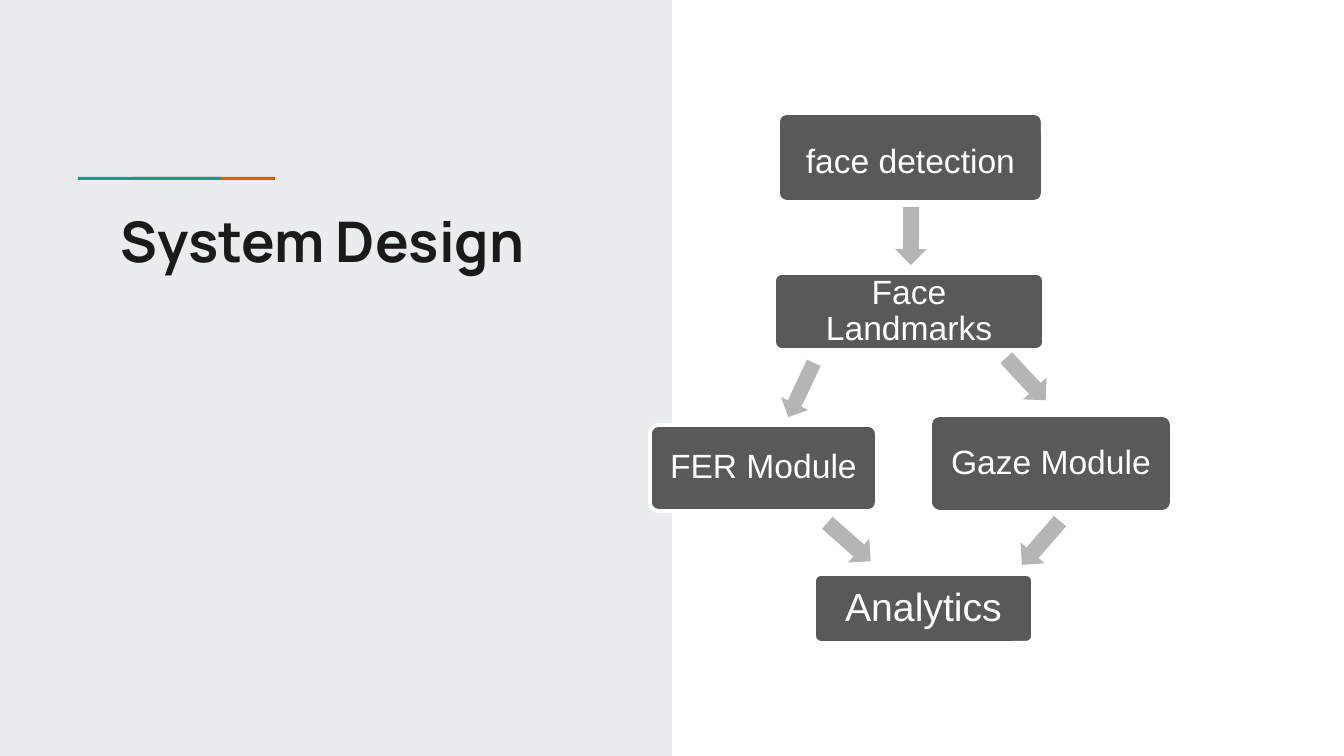
"""Build the System Design slide with its flow of modules."""
from pptx import Presentation
from pptx.dml.color import RGBColor
from pptx.enum import shapes, text
from pptx.util import Pt

SCALE = 914400 / 134.4
WIDE, HIGH = 1344, 756
WHITE = RGBColor(0xFF, 0xFF, 0xFF)
PANEL = RGBColor(0xE9, 0xED, 0xEE)
ORANGE = RGBColor(0xEB, 0x56, 0x00)
TEAL = RGBColor(0x1A, 0x99, 0x88)
INK = RGBColor(0x1A, 0x1A, 0x1A)
DARK = RGBColor(0x59, 0x59, 0x59)
GREY = RGBColor(0xB5, 0xB5, 0xB5)
KIND = shapes.MSO_SHAPE

TITLE = "System Design"
BARS = [
    ((0, 0, WIDE // 2, HIGH), PANEL),
    ((133, 177, 142, 3), ORANGE),
    ((78, 177, 143, 3), TEAL),
]
STEPS = [
    ("face detection", (778, 113, 265, 89), 18, 10),
    ("Face Landmarks", (774, 273, 270, 77), 18, 0),
    ("Gaze Module", (930, 415, 242, 97), 18, 0),
    ("Analytics", (814, 574, 219, 69), 21, 0),
    ("FER Module", (650, 425, 227, 86), 18, 0),
]
ARROWS = [
    ((882, 220, 58, 32), 90.3),
    ((997, 363, 58, 32), 47.2),
    ((1012, 527, 58, 32), 131.1),
    ((820, 526, 58, 32), 41.5),
    ((771, 375, 60, 30), 115.2),
]


def px(*vals):
    return [round(v * SCALE) for v in vals]


def draw(slide, kind, box, fill):
    shape = slide.shapes.add_shape(kind, *px(*box))
    shape.shadow.inherit = False
    shape.fill.solid()
    shape.fill.fore_color.rgb = fill
    shape.line.fill.background()
    return shape


def write(shape, words, *, size, font="Arial", color=WHITE, bold=False,
          align=text.PP_ALIGN.CENTER, anchor=text.MSO_ANCHOR.MIDDLE,
          space=0.9, pad=(11, 0, 11, 0)):
    frame = shape.text_frame
    frame.word_wrap = True
    frame.vertical_anchor = anchor
    (frame.margin_left, frame.margin_top,
     frame.margin_right, frame.margin_bottom) = px(*pad)
    para = frame.paragraphs[0]
    para.alignment = align
    para.line_spacing = space
    run = para.add_run()
    run.text = words
    run.font.name = font
    run.font.size = Pt(size)
    run.font.bold = bold
    run.font.color.rgb = color


def main():
    deck = Presentation()
    deck.slide_width, deck.slide_height = px(WIDE, HIGH)
    slide = deck.slides.add_slide(deck.slide_layouts[6])
    for box, fill in BARS:
        draw(slide, KIND.RECTANGLE, box, fill)
    title = slide.shapes.add_textbox(*px(108, 194, 485, 249))
    write(title, TITLE, size=30, font="Manrope", color=INK, bold=True,
          align=text.PP_ALIGN.LEFT, anchor=text.MSO_ANCHOR.TOP,
          space=1.0, pad=(13, 13, 13, 13))
    for words, box, size, top in STEPS:
        step = draw(slide, KIND.ROUNDED_RECTANGLE, box, DARK)
        step.adjustments[0] = 0.1
        step.line.color.rgb = WHITE
        step.line.width = Pt(2)
        write(step, words, size=size, pad=(11, top, 11, 0))
    for box, turn in ARROWS:
        draw(slide, KIND.RIGHT_ARROW, box, GREY).rotation = turn
    deck.save("out.pptx")


if __name__ == "__main__":
    main()
